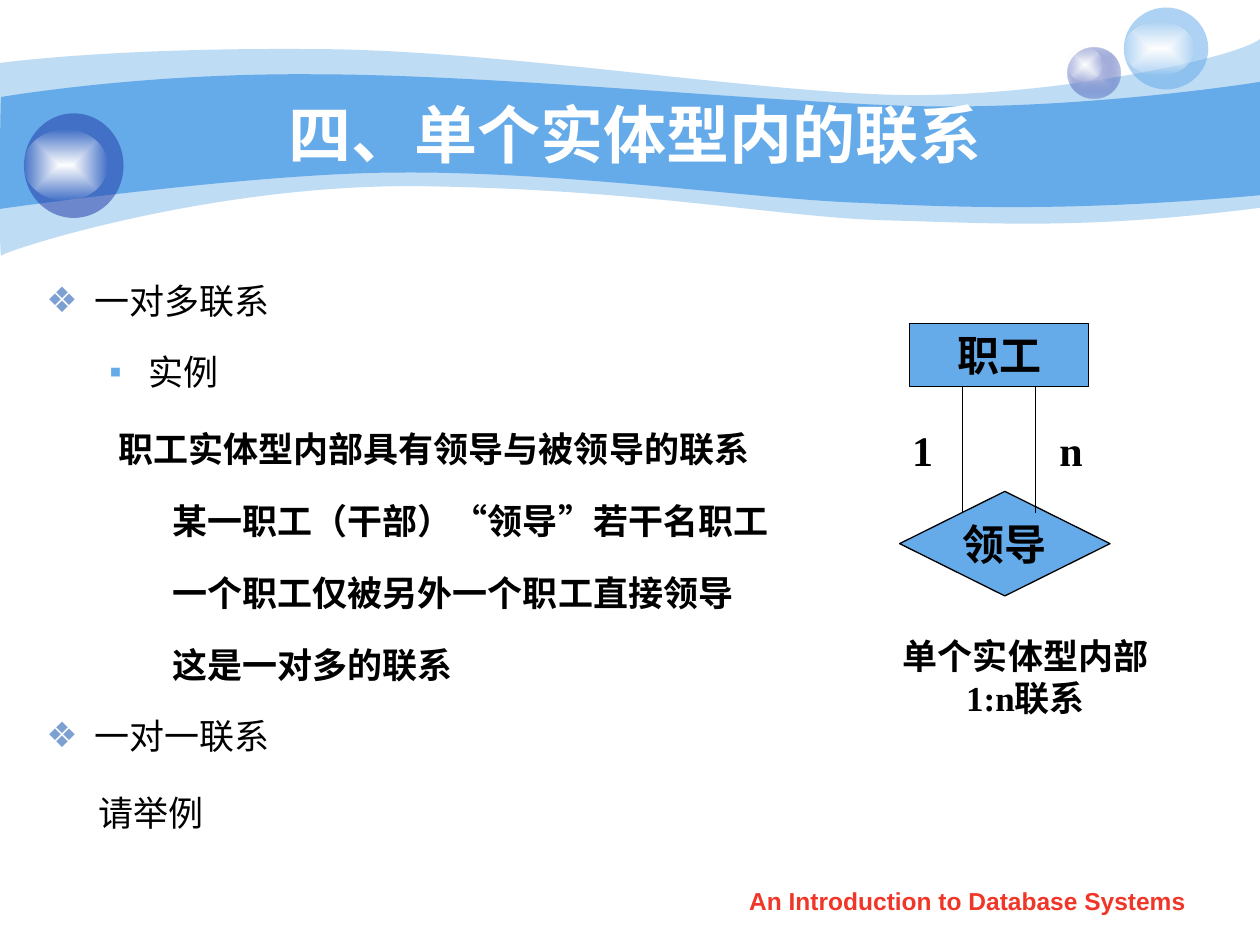
from lxml import etree
from pptx import Presentation
from pptx.dml.color import RGBColor
from pptx.enum import shapes, text
from pptx.oxml import parse_xml
from pptx.oxml.ns import nsdecls, qn
from pptx.util import Inches, Pt

SKY = RGBColor(0x65, 0xAA, 0xE9)
NAVY = RGBColor(0x23, 0x3D, 0xA9)
LAVENDER = RGBColor(0xC6, 0xCC, 0xE8)
BULLET_BLUE = RGBColor(0x7D, 0xA0, 0xD3)
RED = RGBColor(0xF0, 0x36, 0x28)
WHITE = RGBColor(0xFF, 0xFF, 0xFF)
BLACK = RGBColor(0, 0, 0)


def paint(shape, stops):
    """Fill a borderless shape from (colour, opacity %) stops, centre to edge; one stop is a plain fill."""
    shape.shadow.inherit = False
    shape.line.fill.background()
    shape.fill.background()
    colors = [
        f'<a:srgbClr val="{color}"><a:alpha val="{opacity * 1000}"/></a:srgbClr>'
        for color, opacity in stops
    ]
    if len(colors) == 1:
        fill = f'<a:solidFill {nsdecls("a")}>{colors[0]}</a:solidFill>'
    else:
        fill = (
            f'<a:gradFill {nsdecls("a")} rotWithShape="1"><a:gsLst>'
            f'<a:gs pos="0">{colors[0]}</a:gs><a:gs pos="100000">{colors[1]}</a:gs></a:gsLst>'
            '<a:path path="rect"><a:fillToRect l="50000" t="50000" r="50000" b="50000"/></a:path>'
            '</a:gradFill>'
        )
    properties = shape.element.spPr
    properties.replace(properties.find(qn("a:noFill")), parse_xml(fill))


def write(shape, wording, size, font_name, color=BLACK, align=text.PP_ALIGN.CENTER,
          anchor=text.MSO_ANCHOR.TOP, wrap=True):
    frame = shape.text_frame
    frame.word_wrap = wrap
    frame.vertical_anchor = anchor
    paragraph = frame.paragraphs[0]
    paragraph.text = wording
    paragraph.alignment = align
    paragraph.font.size = Pt(size)
    paragraph.font.name = font_name
    paragraph.font.bold = True
    paragraph.font.color.rgb = color


presentation = Presentation()
presentation.slide_width = Inches(10)
presentation.slide_height = Inches(7.5)
slide = presentation.slides.add_slide(presentation.slide_layouts[6])

# Wave bands: start point, then curves (two control points and an end) or straight lines (an end)
waves = [
    (41, (0, 0.5), [
        [(0.24, 0.47), (1.07, 0.38), (2.47, 0.39)], [(3.86, 0.39), (5.75, 0.7), (6.99, 0.75)],
        [(8.22, 0.8), (9.8, 0.47), (10, 0.31)], [(10, 1.65)],
        [(8.58, 1.83), (7.87, 1.77), (7.05, 1.75)], [(6.22, 1.73), (5.15, 1.51), (3.43, 1.48)],
        [(1.72, 1.44), (0.04, 1.99), (0.01, 2.03)], [(-0.01, 2.08), (0, 0.75), (0, 0.5)]]),
    (100, (0.01, 0.77), [
        [(0.02, 0.77), (1.1, 0.58), (2.48, 0.59)], [(3.86, 0.59), (5.95, 0.8), (7.18, 0.84)],
        [(8.41, 0.88), (9.76, 0.69), (10, 0.65)], [(10, 1.55)],
        [(8.53, 1.68), (7.65, 1.65), (6.82, 1.61)], [(5.99, 1.58), (4.47, 1.36), (3.17, 1.37)],
        [(2.03, 1.37), (-0.02, 1.66), (-0.01, 1.66)], [(0, 1.66), (0, 0.77), (0.01, 0.77)]]),
]
for opacity, (start_x, start_y), segments in waves:
    builder = slide.shapes.build_freeform(Inches(start_x), Inches(start_y))
    builder.add_line_segments(
        [(Inches(x), Inches(y)) for segment in segments for x, y in segment], close=True)
    wave = builder.convert_to_shape()
    lines = iter(list(wave.element.iter(qn("a:lnTo"))))
    for segment in segments:
        first, *others = [next(lines) for _ in segment]
        if others:
            curve = etree.Element(qn("a:cubicBezTo"))
            first.addprevious(curve)
            for line in (first, *others):
                curve.append(line[0])
                line.getparent().remove(line)
    paint(wave, [(SKY, opacity)])

# Glass balls, each with a highlight
highlight = [(WHITE, 100), (RGBColor(0xFE, 0xFE, 0xFE), 0)]
balls = [
    (8.47, 0.38, 0.42, 0.4, [(LAVENDER, 100), (NAVY, 31)]),
    (8.47, 0.38, 0.28, 0.27, highlight),
    (8.92, 0.06, 0.67, 0.65, [(SKY, 53)]),
    (8.92, 0.17, 0.56, 0.43, highlight),
    (0.19, 0.9, 0.79, 0.83, [(NAVY, 53)]),
    (0.19, 1.03, 0.66, 0.56, highlight),
]
for left, top, width, height, stops in balls:
    ball = slide.shapes.add_shape(
        shapes.MSO_SHAPE.OVAL, Inches(left), Inches(top), Inches(width), Inches(height))
    paint(ball, stops)

title = slide.shapes.add_textbox(Inches(1), Inches(0.75), Inches(8.08), Inches(0.62))
write(title, "四、单个实体型内的联系", 36, "Arial", WHITE, anchor=text.MSO_ANCHOR.MIDDLE)

# Outline: wording, left margin, first-line indent, space before, bold, bullet, bullet colour
outline = [
    ("一对多联系", 0.38, -0.38, 0, False, "❖", BULLET_BLUE),
    ("实例", 0.81, -0.31, 5, False, "▪", SKY),
    ("职工实体型内部具有领导与被领导的联系", 0.57, 0, 8, True, None, None),
    ("某一职工（干部）“领导”若干名职工", 1, 0, 5, True, None, None),
    ("一个职工仅被另外一个职工直接领导", 1, 0, 5, True, None, None),
    ("这是一对多的联系", 1, 0, 5, True, None, None),
    ("一对一联系", 0.38, -0.38, 5, False, "❖", BULLET_BLUE),
    ("请举例", 0.41, 0, 8, False, None, None),
]
body = slide.shapes.add_textbox(Inches(0.27), Inches(2), Inches(6.48), Inches(5.06)).text_frame
body.word_wrap = True
for index, (wording, margin, indent, before, bold, bullet, bullet_color) in enumerate(outline):
    paragraph = body.add_paragraph() if index else body.paragraphs[0]
    paragraph.text = wording
    paragraph.line_spacing = 1.5
    paragraph.space_before = Pt(before)
    properties = paragraph._p.get_or_add_pPr()
    properties.set("marL", str(Inches(margin)))
    properties.set("indent", str(Inches(indent)))
    if bullet:
        color = etree.SubElement(properties, qn("a:buClr"))
        etree.SubElement(color, qn("a:srgbClr"), val=str(bullet_color))
        etree.SubElement(properties, qn("a:buFont"), typeface="Arial")
        etree.SubElement(properties, qn("a:buChar"), char=bullet)
    paragraph.font.size = Pt(20)
    paragraph.font.name = "Times New Roman" if wording == "一对一联系" else "Arial"
    paragraph.font.bold = bold
    paragraph.font.color.rgb = BLACK

# Entity and relationship
nodes = [
    (shapes.MSO_SHAPE.RECTANGLE, 7.22, 2.57, 1.42, 0.5, "职工", text.MSO_ANCHOR.TOP, True),
    (shapes.MSO_SHAPE.DIAMOND, 7.14, 3.9, 1.67, 0.83, "领导", text.MSO_ANCHOR.MIDDLE, False),
]
for kind, left, top, width, height, wording, anchor, wrap in nodes:
    node = slide.shapes.add_shape(kind, Inches(left), Inches(top), Inches(width), Inches(height))
    node.shadow.inherit = False
    node.fill.solid()
    node.fill.fore_color.rgb = SKY
    node.line.color.rgb = BLACK
    node.line.width = Pt(0.75)
    write(node, wording, 24, "Times New Roman", anchor=anchor, wrap=wrap)

for x, start_y, end_y in [(7.64, 4.07, 3.07), (8.22, 3.07, 4.07)]:
    link = slide.shapes.add_connector(
        shapes.MSO_CONNECTOR.STRAIGHT, Inches(x), Inches(start_y), Inches(x), Inches(end_y))
    link.line.color.rgb = BLACK
    link.line.width = Pt(0.75)
    etree.SubElement(link.element.spPr, qn("a:effectLst"))

LEFT, CENTER = text.PP_ALIGN.LEFT, text.PP_ALIGN.CENTER
labels = [
    (7.14, 3.32, 0.42, 0.5, "1", 24, "Times New Roman", BLACK, LEFT),
    (8.31, 3.32, 0.42, 0.5, "n", 24, "Times New Roman", BLACK, LEFT),
    (6.89, 4.99, 2.5, 0.77, "单个实体型内部1:n联系", 20, "Times New Roman", BLACK, CENTER),
    (5.71, 6.98, 3.94, 0.35, "An Introduction to Database Systems", 14, "Arial", RED, CENTER),
]
for left, top, width, height, wording, size, font_name, color, align in labels:
    label = slide.shapes.add_textbox(Inches(left), Inches(top), Inches(width), Inches(height))
    write(label, wording, size, font_name, color, align)

presentation.save("out.pptx")
